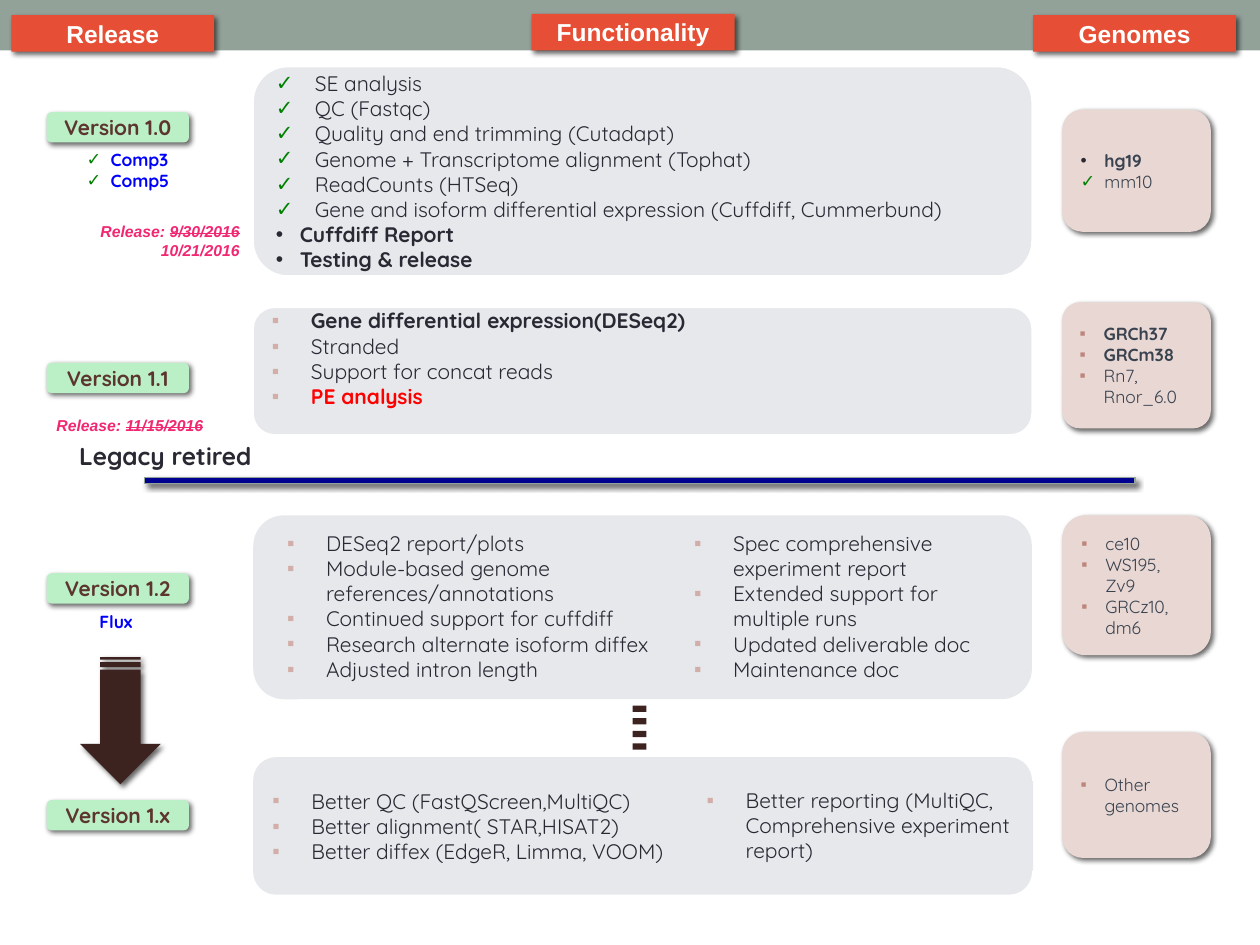
from lxml import etree
from pptx import Presentation
from pptx.dml.color import RGBColor
from pptx.enum.shapes import MSO_SHAPE as Shape
from pptx.enum.text import MSO_ANCHOR as Anchor, PP_ALIGN as Align, MSO_AUTO_SIZE as AutoSize
from pptx.oxml.ns import qn
from pptx.util import Inches, Pt

INK, GREEN, ROSE, BLUE, BROWN = "292934", "008000", "D3AEA8", "0000FF", "3C231F"
CHECK, DOT, SQUARE = "\u2713", "\u2022", "\u25aa"


def rgb(value):
    return RGBColor.from_string(value)


def item(text, mark=SQUARE, mark_color=ROSE, indent=0.31, **style):
    """A bulleted paragraph: its runs and its bullet."""
    return {"runs": [(text, style)], "bullet": (mark, mark_color, indent)}


def line(*runs):
    """A plain paragraph made of (text, style) runs."""
    return {"runs": runs}


class Board:
    """Holds the styles and the slide being filled."""

    body = {"name": "Quicksand", "size": 12, "color": INK}
    genome = {"name": "Quicksand", "size": 10, "color": "394350"}
    pill = {"name": "Quicksand", "size": 12, "color": "5B352E", "bold": True}
    heading = {"name": "Arial", "size": 14, "color": "FFFFFF", "bold": True}
    note = {"name": "Quicksand", "size": 10, "color": BLUE, "bold": True}
    date = {"name": "Arial", "size": 9, "color": "F22772", "bold": True, "italic": True}
    milestone = {"name": "Quicksand", "size": 14, "color": INK, "bold": True}

    def __init__(self, slide):
        self.slide = slide

    def shape(self, kind, at, fill, outline=None, shadow=False):
        shape = self.slide.shapes.add_shape(kind, *map(Inches, at))
        shape.fill.solid()
        shape.fill.fore_color.rgb = rgb(fill)
        if outline:
            shape.line.color.rgb = rgb(outline)
            shape.line.width = Pt(0.75)
        else:
            shape.line.fill.background()
        shape.shadow.inherit = False
        if shadow:
            effects = shape._element.spPr.find(qn("a:effectLst"))
            outer = etree.SubElement(effects, qn("a:outerShdw"), blurRad=str(Pt(3)),
                                     dist=str(Pt(2)), dir=str(45 * 60000),
                                     algn="tl", rotWithShape="0")
            color = etree.SubElement(outer, qn("a:srgbClr"), val="000000")
            etree.SubElement(color, qn("a:alpha"), val="60000")
        return shape

    def fill_text(self, box, paragraphs, style, align=Align.LEFT, anchor=Anchor.MIDDLE):
        frame = box.text_frame
        frame.word_wrap = True
        frame.vertical_anchor = anchor
        for index, content in enumerate(paragraphs):
            para = frame.paragraphs[0] if index == 0 else frame.add_paragraph()
            para.alignment = align
            if "bullet" in content:
                self.bullet(para, *content["bullet"])
            for text, changes in content["runs"]:
                span = para.add_run()
                span.text = text
                self.style_span(span, {**style, **changes})
        return box

    def style_span(self, span, values):
        for key, value in values.items():
            if key == "color":
                span.font.color.rgb = rgb(value)
            elif key == "strike":
                span._r.get_or_add_rPr().set("strike", "sngStrike")
            else:
                setattr(span.font, key, Pt(value) if key == "size" else value)

    def bullet(self, para, mark, color, indent):
        props = para._p.get_or_add_pPr()
        props.set("marL", str(Inches(indent)))
        props.set("indent", str(-Inches(indent)))
        tint = etree.SubElement(props, qn("a:buClr"))
        etree.SubElement(tint, qn("a:srgbClr"), val=color)
        etree.SubElement(props, qn("a:buFont"), typeface="Arial")
        etree.SubElement(props, qn("a:buChar"), char=mark)

    def label(self, kind, at, fill, text, style):
        box = self.shape(kind, at, fill, shadow=True)
        self.fill_text(box, [line((text, {}))], style, Align.CENTER)

    def panel(self, top, height, items=(), outline=None):
        box = self.shape(Shape.ROUNDED_RECTANGLE, (2.01, top, 6.18, height), "E6E8EC", outline)
        return self.fill_text(box, items, self.body)

    def column(self, at, texts):
        box = self.shape(Shape.RECTANGLE, at, "E6E8EC")
        self.fill_text(box, [item(text) for text in texts], self.body, anchor=Anchor.TOP)

    def genomes(self, top, height, items):
        box = self.shape(Shape.ROUNDED_RECTANGLE, (8.43, top, 1.18, height), "E9D7D3", shadow=True)
        paragraphs = [item(text, mark, color, 0.19, bold=bold) for text, mark, color, bold in items]
        return self.fill_text(box, paragraphs, self.genome)

    def text(self, at, paragraphs, style, align=Align.LEFT):
        box = self.slide.shapes.add_textbox(*map(Inches, at))
        self.fill_text(box, paragraphs, style, align, Anchor.TOP)
        box.text_frame.auto_size = AutoSize.SHAPE_TO_FIT_TEXT


deck = Presentation()
deck.slide_width, deck.slide_height = Inches(10), Inches(7.5)
board = Board(deck.slides.add_slide(deck.slide_layouts[6]))

# Top band and column headings
board.shape(Shape.RECTANGLE, (0, 0, 10, 0.4), "93A299")
for text, left, top in (("Release", 0.09, 0.12), ("Functionality", 4.22, 0.11),
                        ("Genomes", 8.2, 0.12)):
    board.label(Shape.RECTANGLE, (left, top, 1.61, 0.29), "E64F35", text, board.heading)

# Version labels
for version, top in (("1.0", 0.89), ("1.1", 2.88), ("1.2", 4.55), ("1.x", 6.35)):
    board.label(Shape.ROUNDED_RECTANGLE, (0.37, top, 1.13, 0.24), "BBEFC5",
                f"Version {version}", board.pill)

# Functionality panels
done = ("SE analysis", "QC (Fastqc)", "Quality and end trimming (Cutadapt)",
        "Genome + Transcriptome alignment (Tophat)", "ReadCounts (HTSeq)",
        "Gene and isoform differential expression (Cuffdiff, Cummerbund)")
pending = ("Cuffdiff Report", "Testing & release")
board.panel(0.53, 1.66, [item(text, CHECK, GREEN) for text in done]
            + [item(text, DOT, INK, 0.19, bold=True) for text in pending], "FFFFFF")
next_panel = board.panel(2.44, 1.01, [
    item("Gene differential expression(DESeq2)", bold=True),
    item("Stranded"),
    item("Support for concat reads"),
    item("PE analysis", color="FF0000", bold=True)], "FFFFFF")
next_panel.text_frame.margin_bottom = Inches(0.25)
board.panel(4.09, 1.46)
board.panel(6.01, 1.09, [item(text) for text in (
    "Better QC (FastQScreen,MultiQC)", "Better alignment( STAR,HISAT2)",
    "Better diffex (EdgeR, Limma, VOOM)")])

# Columns inside the lower panels
board.column((5.51, 6.2, 2.69, 0.71),
             ["Better reporting (MultiQC, Comprehensive experiment report)"])
board.column((5.41, 4.16, 2.69, 1.31), [
    "Spec comprehensive experiment report", "Extended support for multiple runs",
    "Updated deliverable doc", "Maintenance doc"])
board.column((2.18, 4.16, 3.23, 1.31), [
    "DESeq2 report/plots", "Module-based genome references/annotations",
    "Continued support for cuffdiff", "Research alternate isoform diffex",
    "Adjusted intron length"])

# Genome cards
CLAY = "BD867C"
board.genomes(0.87, 0.97, [("hg19", DOT, INK, True), ("mm10", CHECK, GREEN, False)])
card = board.genomes(2.4, 1, [("GRCh37", SQUARE, CLAY, True), ("GRCm38", SQUARE, CLAY, True),
                              ("Rn7, Rnor_6.0", SQUARE, CLAY, False)])
card.adjustments[0] = 0.14
board.genomes(4.09, 1.11, [(text, SQUARE, CLAY, False)
                           for text in ("ce10", "WS195, Zv9", "GRCz10, dm6")])
board.genomes(5.81, 1, [("Other genomes", SQUARE, CLAY, False)])

# Arrow, divider and continuation dashes
arrow = board.shape(Shape.STRIPED_RIGHT_ARROW, (0.45, 5.4, 1.01, 0.64), BROWN, shadow=True)
arrow.rotation = 90
board.shape(Shape.RECTANGLE, (1.15, 3.79, 7.86, 0.05), "000090", "93A299", shadow=True)
for step in range(4):
    board.shape(Shape.RECTANGLE, (5.02, 5.6 + step * 0.1, 0.11, 0.05), BROWN)

# Notes beside the versions
board.text((0.53, 3.45, 2.33, 0.34), [line(("Legacy retired", {}))], board.milestone)
board.text((0.59, 1.13, 1.06, 0.44),
           [item(text, CHECK, GREEN, 0.19) for text in ("Comp3", "Comp5")], board.note)
board.text((0.69, 4.8, 0.62, 0.27), [line(("Flux", {}))], board.note)
board.text((0.32, 1.71, 1.68, 0.4),
           [line(("Release: ", {}), ("9/30/2016", {"strike": True})),
            line(("10/21/2016", {}))], board.date, Align.RIGHT)
board.text((0.19, 3.25, 1.68, 0.25),
           [line(("Release: ", {}), ("11/15/2016", {"strike": True}))], board.date, Align.CENTER)

deck.save("out.pptx")
